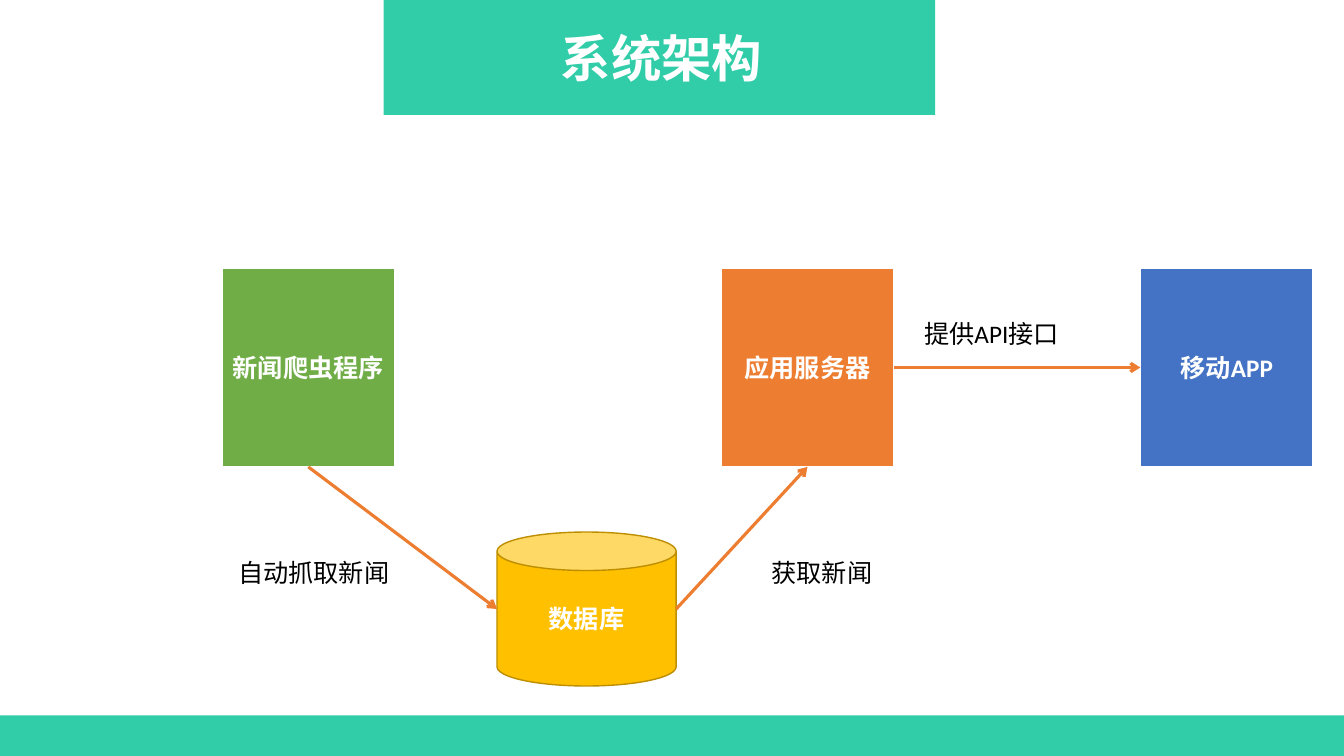
from lxml import etree
from pptx import Presentation
from pptx import util as u
from pptx.dml.color import RGBColor
from pptx.enum import shapes, text
from pptx.oxml.ns import qn

Pt = u.Pt
WIDE, HIGH = 960, 540
HAN = "Noto Sans CJK SC"
HEX = {
    "teal": "31CDA8", "green": "70AD47", "orange": "ED7D31",
    "blue": "4472C4", "gold": "FFC000", "rim": "BD8E00",
    "white": "FFFFFF", "black": "000000",
}


def tint(name):
    return RGBColor.from_string(HEX[name])


def write(shape, words, size=18, font="Calibri", color="white", bold=True,
          align=text.PP_ALIGN.CENTER, anchor=text.MSO_ANCHOR.MIDDLE):
    frame = shape.text_frame
    frame.word_wrap = True
    frame.vertical_anchor = anchor
    para = frame.paragraphs[0]
    para.alignment = align
    run = para.add_run()
    run.text = words
    run.font.size = Pt(size)
    run.font.bold = bold
    run.font.color.rgb = tint(color)
    run.font.name = font
    etree.SubElement(run.font._element, qn("a:ea"), typeface=HAN)


def block(slide, box, fill, kind=shapes.MSO_SHAPE.RECTANGLE, rim=None, width=1):
    shape = slide.shapes.add_shape(kind, *map(Pt, box))
    shape.shadow.inherit = False
    shape.fill.solid()
    shape.fill.fore_color.rgb = tint(fill)
    if rim:
        shape.line.color.rgb = tint(rim)
        shape.line.width = Pt(width)
    else:
        shape.line.fill.background()
    return shape


def label(slide, box, words, **form):
    note = slide.shapes.add_textbox(*map(Pt, box))
    write(note, words, **{"anchor": text.MSO_ANCHOR.TOP, **form})


def arrow(slide, start, end):
    line = slide.shapes.add_connector(
        shapes.MSO_CONNECTOR.STRAIGHT, *map(Pt, (*start, *end)))
    line.line.color.rgb = tint("orange")
    line.line.width = Pt(2.25)
    etree.SubElement(line.line._get_or_add_ln(), qn("a:tailEnd"), type="arrow")
    etree.SubElement(line._element.spPr, qn("a:effectLst"))
    return line


def header(slide, box):
    left, top, width, height = box
    block(slide, box, "teal")
    label(slide, (left + 3, top + 16, width - 3, 51), "系统架构",
          size=36, font=HAN)


def footer(slide, box):
    block(slide, box, "teal")


def diagram(slide, box):
    left, top, width, height = box
    wide, tall = 123.5, 142
    mid = top + tall / 2
    nodes = {}
    for key, words, fill, step in (
            ("server", "应用服务器", "orange", 356.5),
            ("crawler", "新闻爬虫程序", "green", 0),
            ("mobile", "移动APP", "blue", width - wide)):
        node = block(slide, (left + step, top, wide, tall), fill,
                     rim="white", width=1.5)
        write(node, words)
        nodes[key] = node, left + step

    can_w, can_h = 128, 110
    can_x, can_y = left + 196.5, top + height - can_h
    store = block(slide, (can_x, can_y, can_w, can_h), "gold",
                  kind=shapes.MSO_SHAPE.CAN, rim="rim")
    write(store, "数据库")

    crawler, crawl_x = nodes["crawler"]
    server, serve_x = nodes["server"]
    mobile, app_x = nodes["mobile"]
    can_mid = can_y + can_h / 2
    crawl = arrow(slide, (crawl_x + wide / 2, top + tall), (can_x, can_mid))
    crawl.begin_connect(crawler, 2)
    fetch = arrow(slide, (can_x + can_w, can_mid),
                  (serve_x + wide / 2, top + tall))
    fetch.end_connect(server, 2)
    serve = arrow(slide, (serve_x + wide, mid), (app_x, mid))
    serve.begin_connect(server, 3)
    serve.end_connect(mobile, 1)

    for words, x, y in (("自动抓取新闻", crawl_x + 4.5, top + 203),
                        ("获取新闻", serve_x + 29, top + 203),
                        ("提供API接口", serve_x + wide + 14.5, top + 32.5)):
        label(slide, (x, y, 154, 29), words, color="black", bold=False,
              align=text.PP_ALIGN.LEFT)


def main():
    deck = Presentation()
    deck.slide_width, deck.slide_height = Pt(WIDE), Pt(HIGH)
    slide = deck.slides.add_slide(deck.slide_layouts[6])
    footer(slide, (0, 511, WIDE, HIGH - 511))
    header(slide, (274, 0, 394, 82))
    diagram(slide, (158.5, 191.5, 779.5, 298.5))
    deck.save("out.pptx")


if __name__ == "__main__":
    main()
